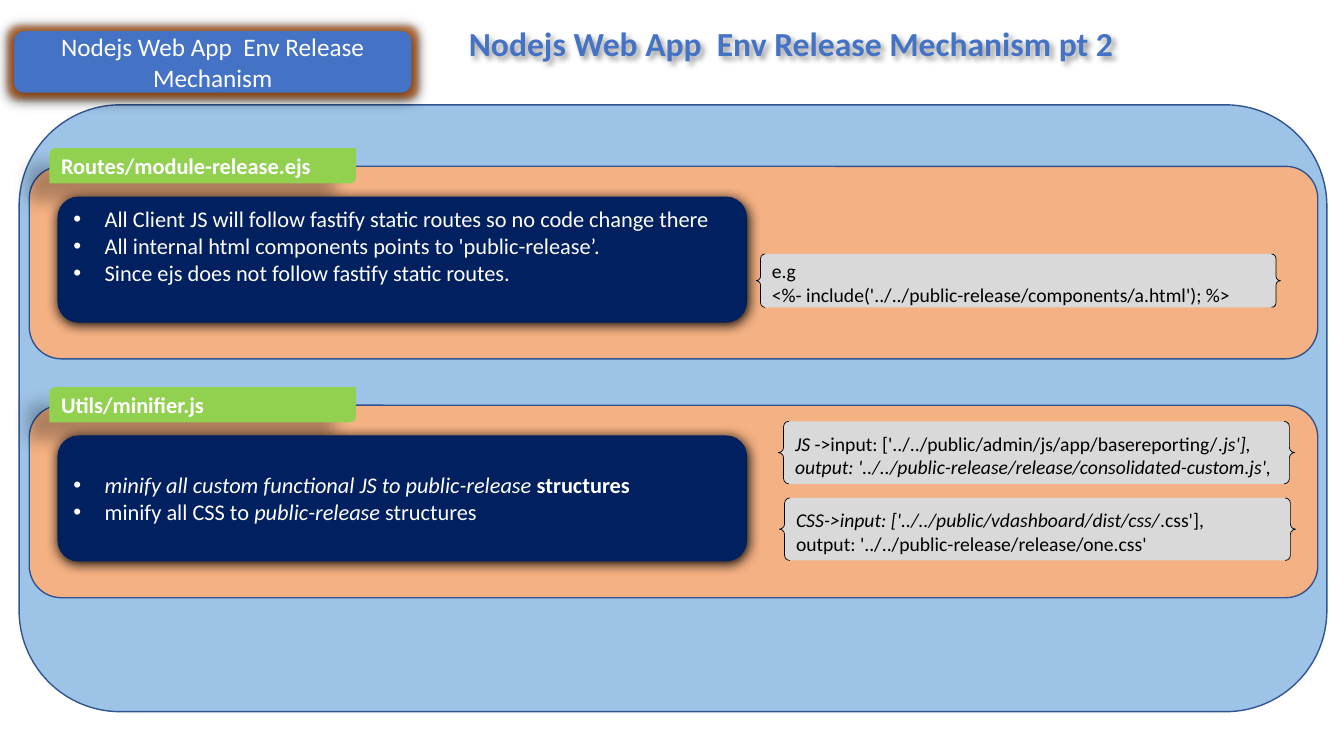
"""Builds the slide on the release mechanism of a web app."""
from lxml import etree
from pptx import Presentation
from pptx import util as u
from pptx.dml import color
from pptx.enum import shapes, text
from pptx.oxml import ns

KIND = shapes.MSO_SHAPE
SIDE = text.PP_ALIGN
NAVY = dict(blur=8.5, dist=1, angle=90, alpha=100)
TAG = dict(blur=11.8, dist=19.7, angle=141, alpha=28)
HEAD = dict(blur=4, dist=3, angle=45, alpha=40)


def rgb(code):
    """Turn a hex string into a colour."""
    return color.RGBColor.from_string(code)


def node(root, name, **attrs):
    """Add a drawing element under root."""
    return etree.SubElement(root, ns.qn("a:" + name), {k: str(v) for k, v in attrs.items()})


def tint(root, code, alpha):
    """Add a colour with an opacity in percent."""
    node(node(root, "srgbClr", val=code), "alpha", val=alpha * 1000)


def shade(item, blur, dist, angle, alpha, glow=None):
    """Give a shape an outer shadow and maybe a glow."""
    item.shadow.inherit = False
    list_ = item.element.spPr.find(ns.qn("a:effectLst"))
    if glow:
        tint(node(list_, "glow", rad=u.Pt(8)), glow, 60)
    cast = node(list_, "outerShdw", blurRad=u.Pt(blur), dist=u.Pt(dist),
                dir=angle * 60000, algn="ctr", rotWithShape=0)
    tint(cast, "000000", alpha)


def block(slide, kind, box, fill, line=None, width=1):
    """Draw a filled preset shape in a box."""
    item = slide.shapes.add_shape(kind, *map(u.Inches, box))
    item.shadow.inherit = False
    item.fill.solid()
    item.fill.fore_color.rgb = rgb(fill)
    if line:
        item.line.color.rgb = rgb(line)
        item.line.width = u.Pt(width)
    else:
        item.line.fill.background()
    return item


def write(item, paras, size, ink="FFFFFF", bold=None, side=SIDE.LEFT, dots=False):
    """Fill a shape with paragraphs made of (text, style) runs."""
    frame = item.text_frame
    frame.word_wrap = True
    frame.vertical_anchor = text.MSO_ANCHOR.MIDDLE
    for i, runs in enumerate(paras):
        para = frame.add_paragraph() if i else frame.paragraphs[0]
        para.alignment = side
        if dots:
            props = para._p.get_or_add_pPr()
            props.set("marL", str(u.Inches(0.31)))
            props.set("indent", str(u.Inches(-0.31)))
            node(props, "buFont", typeface="Arial")
            node(props, "buChar", char="•")
        font = para.font
        font.name, font.size, font.bold = "Calibri", u.Pt(size), bold
        font.color.rgb = rgb(ink)
        for words, style in runs:
            for j, part in enumerate(words.split("\n")):
                if j:
                    para.add_line_break()
                run = para.add_run()
                run.text = part
                if "i" in style:
                    run.font.italic = True
                if "b" in style:
                    run.font.bold = True


def title(slide, box, words):
    """Place the slide title in a box."""
    head = slide.shapes.title
    head.left, head.top, head.width, head.height = map(u.Inches, box)
    write(head, [[(words, "")]], 24, "4472C4", True)
    head.text_frame.vertical_anchor = text.MSO_ANCHOR.BOTTOM
    head.text_frame.paragraphs[0].line_spacing = 0.9
    shade(head, **HEAD)


def badge(slide, box, words):
    """Draw the glowing label in the corner."""
    item = block(slide, KIND.FLOWCHART_ALTERNATE_PROCESS, box, "4472C4")
    shade(item, **NAVY, glow="C55A11")
    write(item, [[(words, "")]], 18, side=SIDE.CENTER)


def panel(slide, box, name, points, notes, foot=0.05):
    """Draw a panel with its tag, points and code notes."""
    left, top, wide, high = box
    block(slide, KIND.ROUNDED_RECTANGLE, box, "F4B183", "325491")
    tag = block(slide, KIND.ROUND_2_DIAG_RECTANGLE, (left + 0.2, top - 0.18, 3.04, 0.35), "92D050")
    shade(tag, **TAG)
    write(tag, [[(name, "")]], 16, bold=True)
    card = block(slide, KIND.FLOWCHART_ALTERNATE_PROCESS,
                 (left + 0.28, top + 0.3, 6.84, 1.25), "002060")
    shade(card, **NAVY)
    write(card, points, 16, dots=True)
    card.text_frame.margin_bottom = u.Inches(foot)
    for (x, y, w, h), paras in notes:
        note = block(slide, KIND.DOUBLE_BRACE, (left + x, top + y, w, h), "D9D9D9", "000000", 0.5)
        write(note, paras, 14, "000000")


def main():
    """Build and save the slide."""
    deck = Presentation()
    deck.slide_width, deck.slide_height = u.Inches(13.33), u.Inches(7.5)
    slide = deck.slides.add_slide(deck.slide_layouts[0])
    sub = slide.placeholders[1].element
    sub.getparent().remove(sub)
    name = "Nodejs Web App  Env Release Mechanism"
    block(slide, KIND.ROUNDED_RECTANGLE, (0.19, 1.04, 12.97, 6.02), "9DC3E6", "325491")
    badge(slide, (0.14, 0.31, 3.94, 0.61), name)
    title(slide, (4.55, 0.12, 6.88, 0.56), name + " pt 2")
    panel(slide, (0.29, 1.65, 12.78, 1.91), "Routes/module-release.ejs", [
        [("All Client JS will follow fastify static routes so no code change there", "")],
        [("All internal html components points to 'public-release’.", "")],
        [("Since ejs does not follow fastify static routes.", "")],
    ], [((7.21, 0.87, 5.2, 0.53), [
        [("e.g", "")],
        [("<%- include('../../public-release/components/a.html'); %>", "")],
    ])], foot=0.32)
    panel(slide, (0.29, 4.02, 12.78, 1.91), "Utils/minifier.js", [
        [("minify all custom functional JS to public-release ", "i"), ("structures", "b")],
        [("minify all CSS to ", ""), ("public-release", "i"), (" structures", "")],
    ], [
        ((7.43, 0.16, 5.12, 0.62), [[
            ("JS", "i"), (" ->input: ['../../public/admin/js/app/basereporting/", ""),
            (".js'],\noutput: '../../public-release/release/consolidated-custom.js',", "i")]]),
        ((7.44, 0.92, 5.12, 0.62), [[
            ("CSS->input: ['../../public/vdashboard/dist/css/", "i"),
            (".css'],\noutput: '../../public-release/release/one.css'", "")]]),
    ])
    deck.save("out.pptx")


if __name__ == "__main__":
    main()
